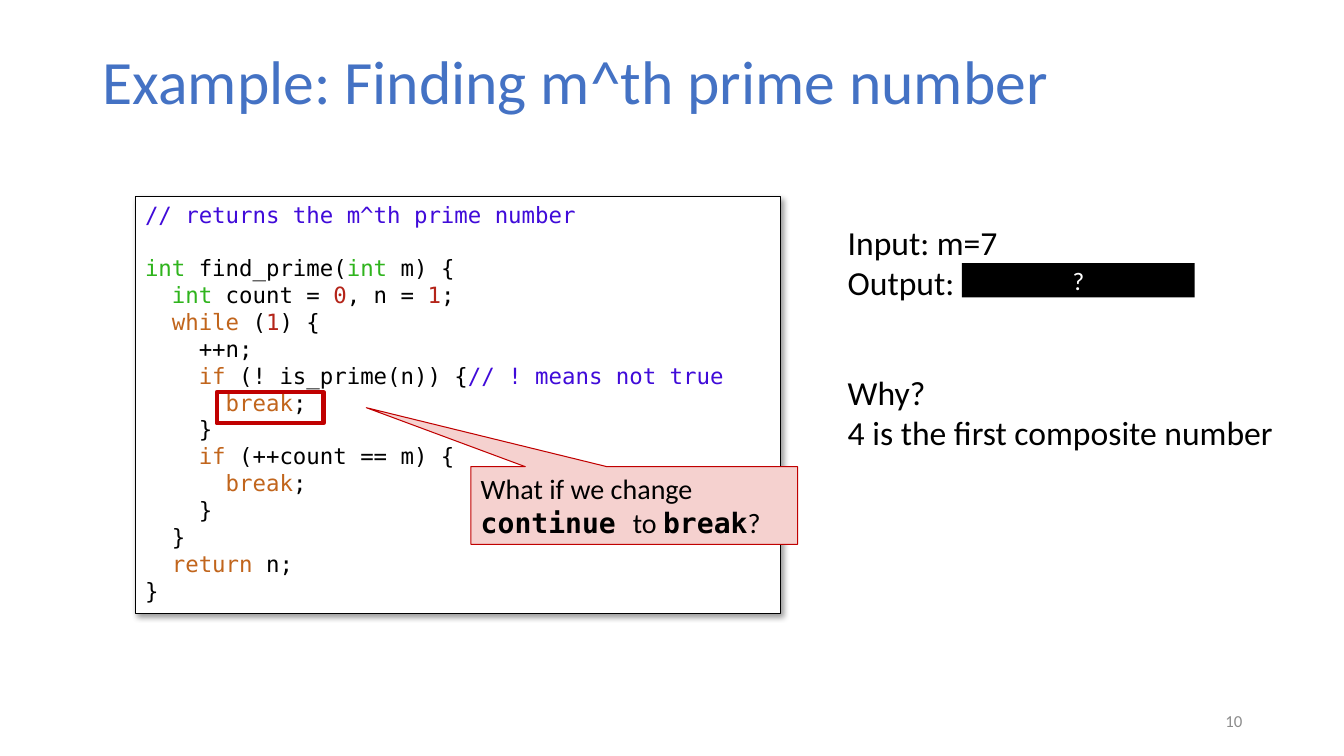
from lxml import etree
from pptx import Presentation
from pptx.dml.color import RGBColor
from pptx.enum.shapes import MSO_SHAPE
from pptx.enum.text import MSO_ANCHOR, PP_ALIGN
from pptx.oxml import parse_xml
from pptx.oxml.ns import nsdecls
from pptx.util import Inches, Pt

BLACK = RGBColor(0x00, 0x00, 0x00)
WHITE = RGBColor(0xFF, 0xFF, 0xFF)
TITLE_BLUE = RGBColor(0x44, 0x72, 0xC4)
NUMBER_GRAY = RGBColor(0x8C, 0x8C, 0x8C)
COMMENT_BLUE = RGBColor(0x40, 0x0B, 0xD9)
TYPE_GREEN = RGBColor(0x2F, 0xB4, 0x1D)
LITERAL_RED = RGBColor(0xB4, 0x24, 0x19)
KEYWORD_ORANGE = RGBColor(0xC1, 0x65, 0x1C)
MARK_RED = RGBColor(0xC0, 0x00, 0x00)
CALLOUT_PINK = RGBColor(0xF5, 0xD1, 0xCF)

BODY_FONT = "Calibri"
CODE_FONT = "DejaVu Sans Mono"
CODE_LINE_HEIGHT = Pt(18.6)

TOKEN_COLORS = {
    "int": TYPE_GREEN,
    "0": LITERAL_RED,
    "1": LITERAL_RED,
    "while": KEYWORD_ORANGE,
    "if": KEYWORD_ORANGE,
    "break": KEYWORD_ORANGE,
    "return": KEYWORD_ORANGE,
}

HEADER_COMMENT = "// returns the m^th prime number"
FUNCTION_CODE = """\
int| find_prime(|int| m) {
  |int| count = |0|, n = |1|;
  |while| (|1|) {
    ++n;
    |if| (! is_prime(n)) {|// ! means not true
      |break|;
    }
    |if| (++count == m) {
      |break|;
    }
  }
  |return| n;
}"""


def style(font, size, color=BLACK, name=BODY_FONT, bold=False):
    """Set the look of one font."""
    font.size, font.name, font.bold = Pt(size), name, bold
    font.color.rgb = color


def add_run(paragraph, text, *look, **options):
    """Append a styled run to a paragraph."""
    run = paragraph.add_run()
    run.text = text
    style(run.font, *look, **options)


def add_label(slide, box, text, size, color=BLACK, wrap=True):
    """Add a text box holding one paragraph per line of text."""
    label = slide.shapes.add_textbox(*map(Inches, box))
    frame = label.text_frame
    frame.word_wrap = wrap
    frame.text = text
    for paragraph in frame.paragraphs:
        style(paragraph.runs[0].font, size, color)
    return frame


def add_panel(slide, preset, box, fill=None, line=None, weight=0.75):
    """Add a preset shape with top-left text and no shadow."""
    panel = slide.shapes.add_shape(preset, *map(Inches, box))
    panel.shadow.inherit = False
    if fill is None:
        panel.fill.background()
    else:
        panel.fill.solid()
        panel.fill.fore_color.rgb = fill
    if line is None:
        panel.line.fill.background()
    else:
        panel.line.color.rgb = line
        panel.line.width = Pt(weight)
    panel.text_frame.vertical_anchor = MSO_ANCHOR.TOP
    panel.text_frame.paragraphs[0].alignment = PP_ALIGN.LEFT
    return panel


def add_drop_shadow(panel):
    """Give a panel a soft shadow to the lower right."""
    effects = panel.element.spPr.find("{*}effectLst")
    effects.append(parse_xml(
        f'<a:outerShdw {nsdecls("a")} blurRad="{Pt(4)}" dist="{Pt(3)}" '
        'dir="2700000" algn="tl" rotWithShape="0"><a:srgbClr val="000000">'
        '<a:alpha val="40000"/></a:srgbClr></a:outerShdw>'))


def add_code_line(paragraph, line):
    """Write one code line, colouring its bar-separated tokens."""
    paragraph.alignment = PP_ALIGN.LEFT
    for token in line.split("|"):
        color = TOKEN_COLORS.get(token, BLACK)
        if token.startswith("//"):
            color = COMMENT_BLUE
        add_run(paragraph, token, 16, color, CODE_FONT)


def add_code(slide, box):
    """Add the listing of the prime finder."""
    listing = add_panel(slide, MSO_SHAPE.RECTANGLE, box, WHITE, BLACK)
    add_drop_shadow(listing)
    frame = listing.text_frame
    add_code_line(frame.paragraphs[0], HEADER_COMMENT)
    for index, line in enumerate(FUNCTION_CODE.splitlines()):
        paragraph = frame.add_paragraph()
        if index == 0:
            paragraph.space_before = CODE_LINE_HEIGHT
        add_code_line(paragraph, line)


def add_question(slide, box):
    """Add the callout that asks about the marked statement."""
    callout = add_panel(slide, MSO_SHAPE.RECTANGULAR_CALLOUT, box,
                        CALLOUT_PINK, MARK_RED)
    callout.adjustments[0], callout.adjustments[1] = -0.82, -1.26
    question = callout.text_frame.paragraphs[0]
    for text, is_code in (("What if we change ", False), ("continue ", True),
                          ("to ", False), ("break", True), ("?", False)):
        add_run(question, text, 20, name=CODE_FONT if is_code else BODY_FONT,
                bold=is_code)


def add_answer_cover(slide, box):
    """Add the black bar with a question mark beside the output."""
    cover = add_panel(slide, MSO_SHAPE.RECTANGLE, box, BLACK)
    frame = cover.text_frame
    frame.margin_top = frame.margin_bottom = 0
    frame.vertical_anchor = MSO_ANCHOR.MIDDLE
    frame.paragraphs[0].alignment = PP_ALIGN.CENTER
    add_run(frame.paragraphs[0], "?", 18, WHITE)


def main():
    """Build the slide and save it."""
    deck = Presentation()
    deck.slide_width, deck.slide_height = Inches(13.33), Inches(7.5)
    slide = deck.slides.add_slide(deck.slide_layouts[6])

    title = add_label(slide, (0.92, 0.4, 11.5, 0.87),
                      "Example: Finding m^th prime number", 44, TITLE_BLUE)
    title.vertical_anchor = MSO_ANCHOR.MIDDLE
    title.paragraphs[0].line_spacing = 0.9
    page_number = add_label(slide, (9.42, 6.95, 3, 0.4), "10", 12, NUMBER_GRAY)
    page_number.vertical_anchor = MSO_ANCHOR.MIDDLE
    page_number.paragraphs[0].alignment = PP_ALIGN.RIGHT

    add_code(slide, (1.34, 1.95, 6.4, 4.14))
    add_label(slide, (8.31, 2.15, 1.7, 0.91), "Input: m=7\nOutput:", 24,
              wrap=False)
    add_panel(slide, MSO_SHAPE.RECTANGLE, (2.15, 3.89, 1.06, 0.31),
              line=MARK_RED, weight=3)
    add_question(slide, (4.67, 4.63, 3.24, 0.77))
    add_label(slide, (8.31, 3.64, 4.46, 0.91),
              "Why?\n4 is the first composite number", 24, wrap=False)
    add_answer_cover(slide, (9.54, 2.61, 2.31, 0.34))
    deck.save("out.pptx")


if __name__ == "__main__":
    main()
